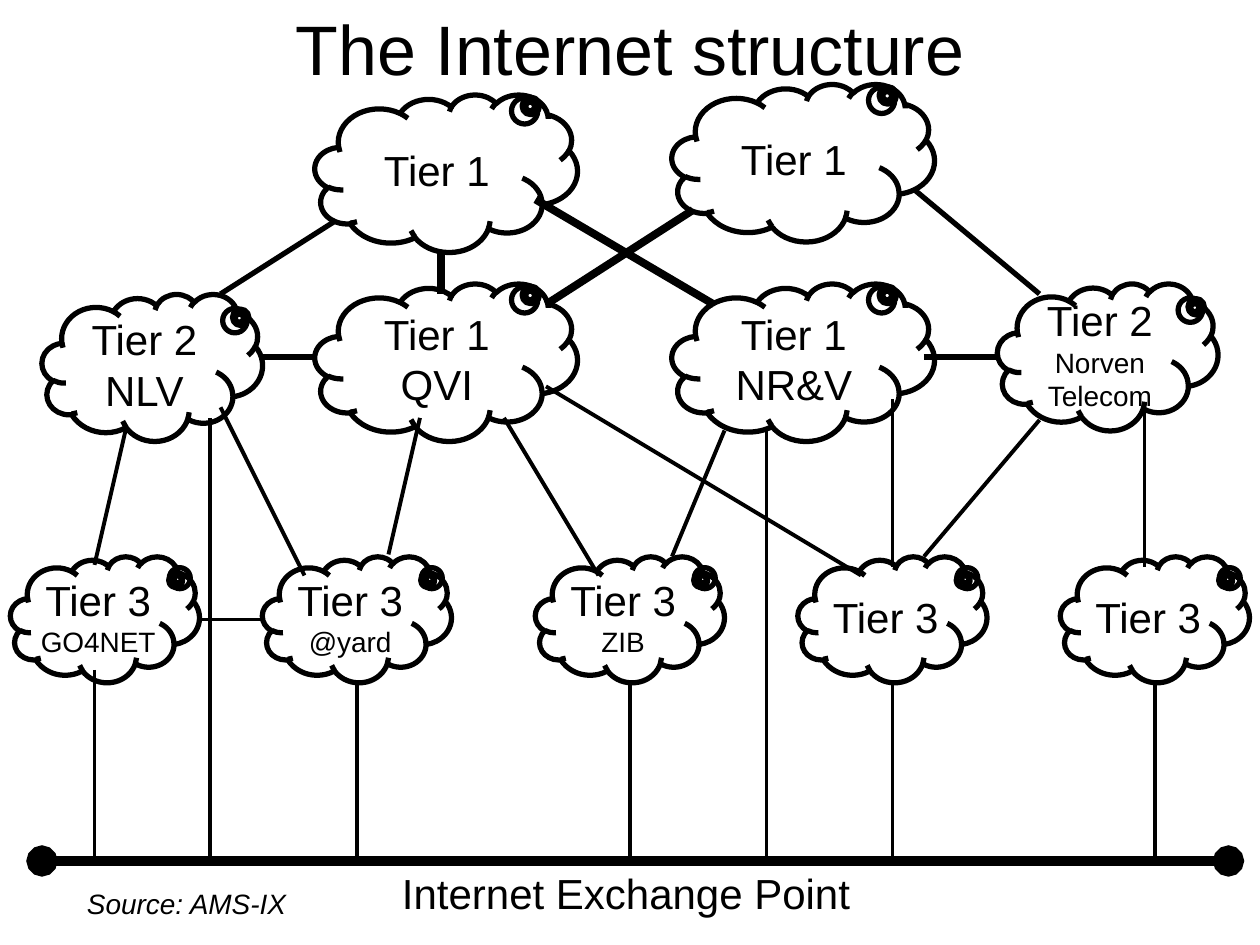
from dataclasses import dataclass

from lxml.etree import SubElement
from pptx import Presentation
from pptx.dml.color import RGBColor
from pptx.enum.shapes import MSO_CONNECTOR as Connector, MSO_SHAPE as Shape
from pptx.enum.text import MSO_ANCHOR as Anchor, MSO_AUTO_SIZE as AutoSize, PP_ALIGN as Align
from pptx.oxml.ns import qn
from pptx.util import Inches, Pt

BLACK = RGBColor(0, 0, 0)
FONT = "Arial"
COLUMNS, ROWS = 120, 90
LARGE, SMALL = 24, 16
THIN, MEDIUM, THICK, BACKBONE = 2.25, 3, 4.5, 6


@dataclass(frozen=True)
class CloudStyle:
    columns: int
    rows: int
    tail: tuple[float, float]


@dataclass(frozen=True)
class Cloud:
    style: CloudStyle
    column: int
    row: int
    tier: str
    names: tuple[str, ...] = ()
    name_size: int = SMALL


@dataclass(frozen=True)
class Link:
    start: tuple[float, float]
    end: tuple[float, float]
    width: float = THIN


BIG = CloudStyle(25, 15, (0.32, -0.424))
MIDDLE = CloudStyle(21, 14, (0.395, -0.336))
LITTLE = CloudStyle(18, 12, (0.385, -0.318))
TIER_3_ROW = 53
EXCHANGE_ROW = 82

CLOUDS = [
    Cloud(BIG, 30, 9, "Tier 1"),
    Cloud(BIG, 64, 8, "Tier 1"),
    Cloud(BIG, 64, 27, "Tier 1", ("NR&V",), LARGE),
    Cloud(BIG, 30, 27, "Tier 1", ("QVI",), LARGE),
    Cloud(MIDDLE, 4, 28, "Tier 2", ("NLV",), LARGE),
    Cloud(MIDDLE, 95, 27, "Tier 2", ("Norven", "Telecom")),
    Cloud(LITTLE, 1, TIER_3_ROW, "Tier 3", ("GO4NET",)),
    Cloud(LITTLE, 51, TIER_3_ROW, "Tier 3", ("ZIB",)),
    Cloud(LITTLE, 76, TIER_3_ROW, "Tier 3"),
    Cloud(LITTLE, 101, TIER_3_ROW, "Tier 3"),
    Cloud(LITTLE, 25, TIER_3_ROW, "Tier 3", ("@yard",)),
]

PEERINGS = [
    Link((42, 24), (42, 28), THICK),
    Link((51, 19), (68, 29), THICK),
    Link((52, 29), (66, 20), THICK),
    Link((21, 28), (32, 21), MEDIUM),
    Link((25, 34), (30, 34), MEDIUM),
    Link((88, 34), (95, 34), MEDIUM),
    Link((87, 18), (99, 28), MEDIUM),
    Link((19, 59), (25, 59)),
    Link((21, 38.8), (29, 54.8)),
    Link((37, 52.8), (40, 39.8)),
    Link((12, 40.8), (9, 53.8)),
    Link((57, 54.8), (48, 39.8)),
    Link((64, 53), (69, 41)),
    Link((82, 54.8), (52, 36.8)),
    Link((85, 54), (85, 38)),
    Link((88, 53), (99, 40)),
    Link((109, 39), (109, 54)),
]

EXCHANGE_DROPS = [(9, 63.8), (20, 39.8), (34, 64.8), (60, 65), (73, 41), (85, 65), (110, 65)]

deck = Presentation()
deck.slide_width, deck.slide_height = Inches(10), Inches(7.5)
page = deck.slides.add_slide(deck.slide_layouts[5])


def across(columns: float) -> int:
    return round(deck.slide_width * columns / COLUMNS)


def down(rows: float) -> int:
    return round(deck.slide_height * rows / ROWS)


def format_para(para, size: float, align=Align.LEFT, italic: bool = False) -> None:
    para.alignment = align
    font = para.font
    font.name, font.size, font.italic = FONT, Pt(size), italic
    font.color.rgb = BLACK


def draw_title(text: str) -> None:
    box = page.shapes.title
    box.left, box.top, box.width, box.height = across(9), down(1), across(102), down(7)
    frame = box.text_frame
    frame.text = text
    frame.auto_size = AutoSize.NONE
    frame.vertical_anchor = Anchor.MIDDLE
    format_para(frame.paragraphs[0], 40, Align.CENTER)


def draw_cloud(cloud: Cloud) -> None:
    style = cloud.style
    shape = page.shapes.add_shape(
        Shape.CLOUD_CALLOUT, across(cloud.column), down(cloud.row),
        across(style.columns), down(style.rows))
    shape.adjustments[0], shape.adjustments[1] = style.tail
    shape.shadow.inherit = False
    shape.fill.background()
    shape.line.color.rgb = BLACK
    shape.line.width = Pt(MEDIUM)
    frame = shape.text_frame
    frame.word_wrap = False
    frame.vertical_anchor = Anchor.MIDDLE
    frame.text = "\n".join((cloud.tier, *cloud.names))
    for index, para in enumerate(frame.paragraphs):
        format_para(para, cloud.name_size if index else LARGE, Align.CENTER)


def draw_link(link: Link, oval_ends: bool = False) -> None:
    line = page.shapes.add_connector(
        Connector.STRAIGHT, across(link.start[0]), down(link.start[1]),
        across(link.end[0]), down(link.end[1]))
    line.line.color.rgb = BLACK
    line.line.width = Pt(link.width)
    properties = line._element.spPr
    if oval_ends:
        for end in ("a:headEnd", "a:tailEnd"):
            SubElement(properties.find(qn("a:ln")), qn(end), type="oval")
    SubElement(properties, qn("a:effectLst"))


def draw_label(text: str, column: float, row: float, columns: float, rows: float,
               size: float, italic: bool = False) -> None:
    box = page.shapes.add_textbox(across(column), down(row), across(columns), down(rows))
    frame = box.text_frame
    frame.word_wrap = False
    frame.auto_size = AutoSize.SHAPE_TO_FIT_TEXT
    frame.text = text
    format_para(frame.paragraphs[0], size, italic=italic)


draw_title("The Internet structure")
for cloud in CLOUDS:
    draw_cloud(cloud)
draw_link(Link((4, EXCHANGE_ROW), (117, EXCHANGE_ROW), BACKBONE), oval_ends=True)
for link in PEERINGS:
    draw_link(link)
for column, row in EXCHANGE_DROPS:
    draw_link(Link((column, row), (column, EXCHANGE_ROW)))
draw_label("Internet Exchange Point", 37.1, EXCHANGE_ROW, 45.1, 6, LARGE)
draw_label("Source: AMS-IX", 7.1, 83.8, 21.5, 4.4, SMALL, italic=True)

deck.save("out.pptx")
